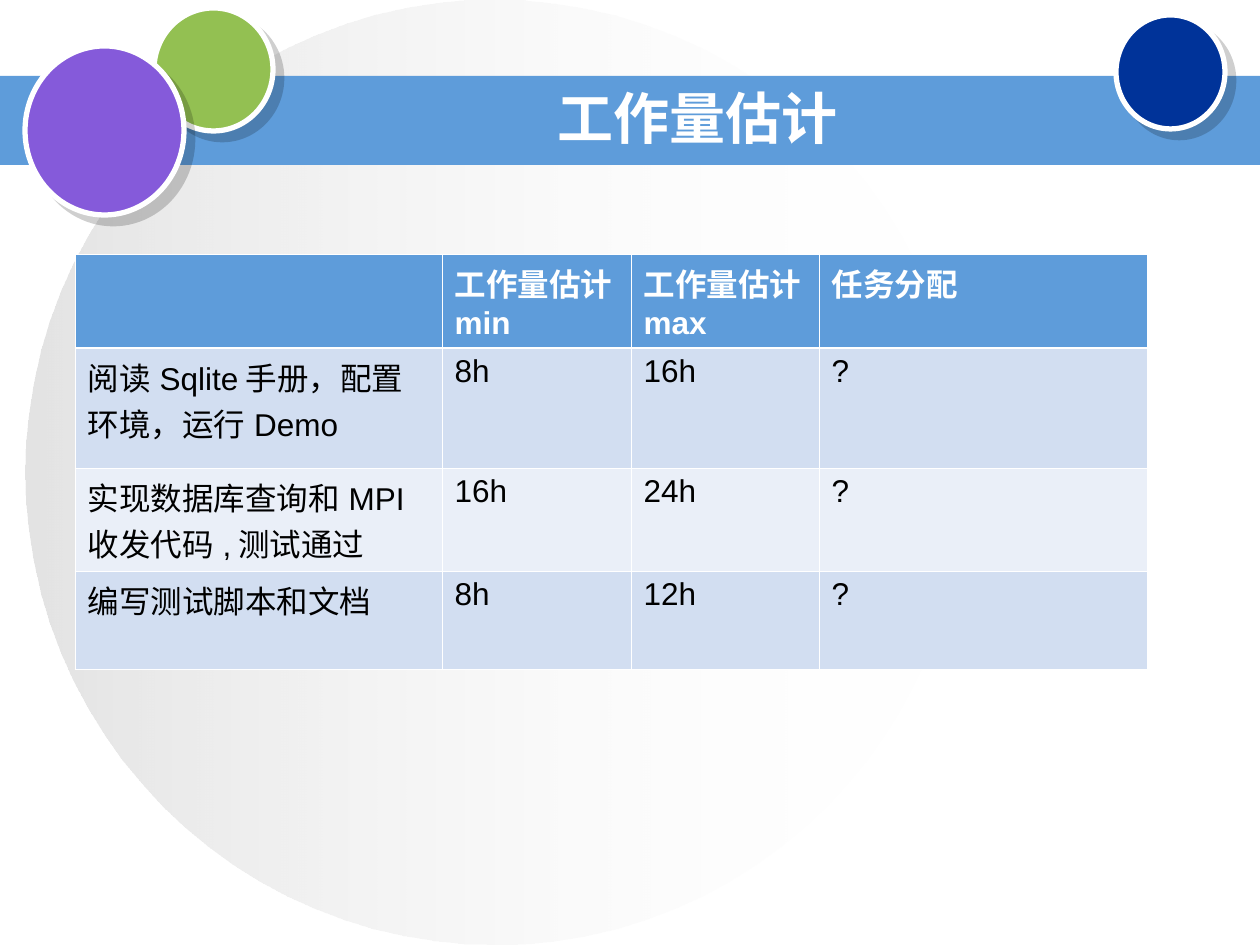
from lxml import etree
from pptx import Presentation, util as u
from pptx.dml.color import RGBColor
from pptx.enum import shapes, text
from pptx.oxml import parse_xml
from pptx.oxml.ns import nsdecls, qn

THEME = dict(font="Arial", title=32, body=18, blue="5E9CDA", green="93C052",
             navy="003399", purple="855ADA", grey="C0C0C0", white="FFFFFF",
             black="000000", band="D2DEF1", light="EAEFF8")
SCALE = 914400 / 126


def px(*lengths):
    return [u.Emu(round(v * SCALE)) for v in lengths]


def style(p, size, colour, bold):
    p.font.name, p.font.size, p.font.bold = THEME["font"], u.Pt(size), bold
    p.font.color.rgb = RGBColor.from_string(THEME[colour])


prs = Presentation()
prs.slide_width, prs.slide_height = px(1260, 945)
s = prs.slides.add_slide(prs.slide_layouts[6])

sp = s.shapes.add_shape(shapes.MSO_SHAPE.OVAL, *px(25, 0, 938, 945))
sp.shadow.inherit = False
sp.line.fill.background()
sp.fill.gradient()
sp.fill.gradient_angle = 0
for stop, colour in zip(sp.fill.gradient_stops, ("grey", "white")):
    stop.color.rgb = RGBColor.from_string(THEME[colour])
stops = sp._element.spPr.findall(".//" + qn("a:gs"))
for gs, position, alpha in zip(stops, (0, 100000), (44000, 0)):
    gs.set("pos", str(position))
    etree.SubElement(gs[0], qn("a:alpha"), val=str(alpha))

bar = s.shapes.add_shape(shapes.MSO_SHAPE.RECTANGLE, *px(0, 76, 1260, 89))
bar.shadow.inherit = False
bar.fill.solid()
bar.fill.fore_color.rgb = RGBColor.from_string(THEME["blue"])
bar.line.fill.background()

for colour, box in (("green", (154, 8, 119, 123)),
                    ("navy", (1116, 15, 109, 114)),
                    ("purple", (25, 46, 159, 169))):
    sp = s.shapes.add_shape(shapes.MSO_SHAPE.OVAL, *px(*box))
    sp.fill.solid()
    sp.fill.fore_color.rgb = RGBColor.from_string(THEME[colour])
    sp.line.color.rgb = RGBColor.from_string(THEME["white"])
    sp.line.width = u.Pt(3)
    sp._element.spPr.append(parse_xml(
        f'<a:effectLst {nsdecls("a")}><a:outerShdw blurRad="0" dist="{u.Pt(7.1)}" '
        f'dir="2700000" algn="ctr" rotWithShape="0"><a:srgbClr val="{THEME["black"]}">'
        '<a:alpha val="19000"/></a:srgbClr></a:outerShdw></a:effectLst>'))

tf = s.shapes.add_textbox(*px(283, 84, 829, 67)).text_frame
tf.word_wrap = True
tf.vertical_anchor = text.MSO_ANCHOR.MIDDLE
p = tf.paragraphs[0]
p.text = "工作量估计"
p.alignment = text.PP_ALIGN.CENTER
style(p, THEME["title"], "white", True)

ROWS = [
    ("", "工作量估计\nmin", "工作量估计\nmax", "任务分配"),
    ("阅读Sqlite手册，配置环境，运行Demo", "8h", "16h", "?"),
    ("实现数据库查询和MPI收发代码,测试通过", "16h", "24h", "?"),
    ("编写测试脚本和文档", "8h", "12h", "?"),
]
table = s.shapes.add_table(4, 4, *px(75, 254, 1072, 415)).table
for column, width in zip(table.columns, px(367, 189, 188, 328)):
    column.width = width
for row, height in zip(table.rows, px(94, 120, 103, 98)):
    row.height = height

for i, values in enumerate(ROWS):
    fill = "blue" if i == 0 else ("light", "band")[i % 2]
    for j, value in enumerate(values):
        cell = table.cell(i, j)
        cell.fill.solid()
        cell.fill.fore_color.rgb = RGBColor.from_string(THEME[fill])
        cell.text_frame.text = value
        for p in cell.text_frame.paragraphs:
            style(p, THEME["body"], "black" if i else "white", i == 0)
        tcPr = cell._tc.get_or_add_tcPr()
        for k, side in enumerate("LRTB"):
            thick = (i, side) in ((0, "B"), (1, "T"))
            tcPr.insert(k, parse_xml(
                f'<a:ln{side} {nsdecls("a")} w="{u.Pt(1.47 if thick else 0.45)}"><a:solidFill>'
                f'<a:srgbClr val="{THEME["white"]}"/></a:solidFill></a:ln{side}>'))

prs.save("out.pptx")
